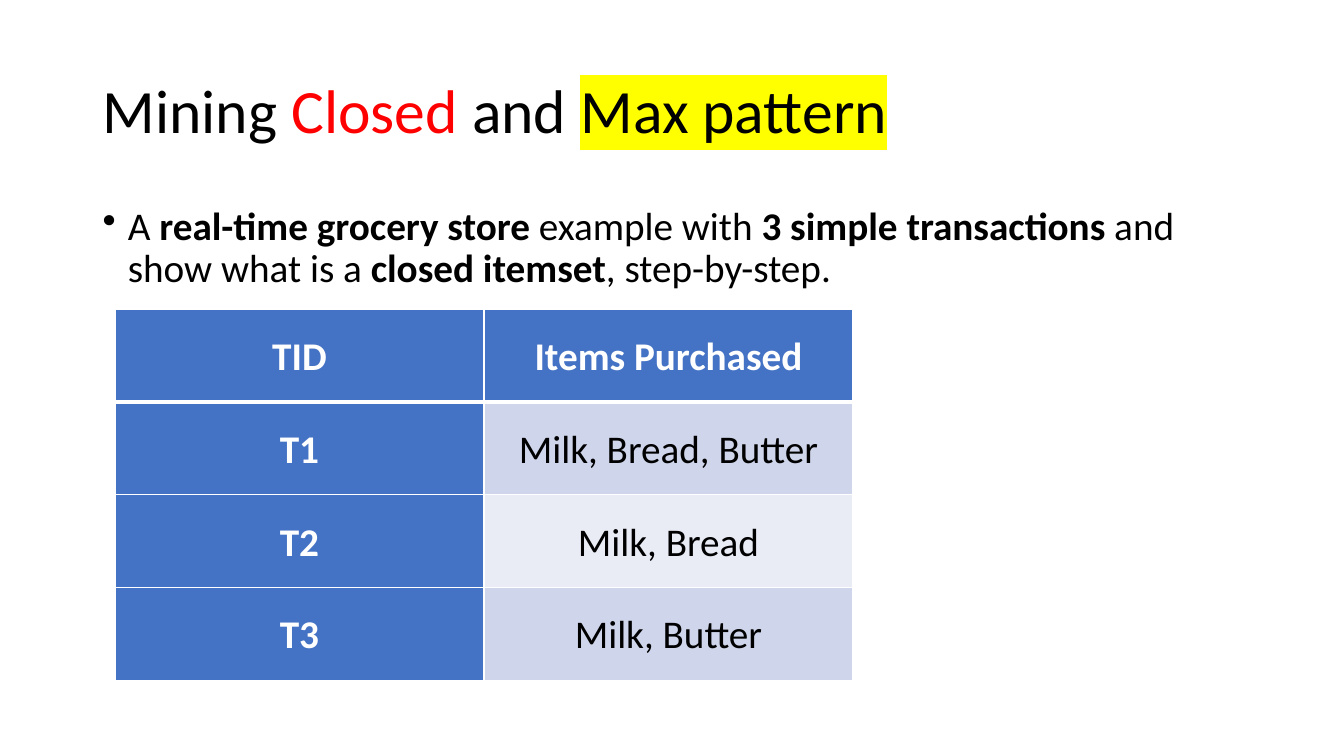
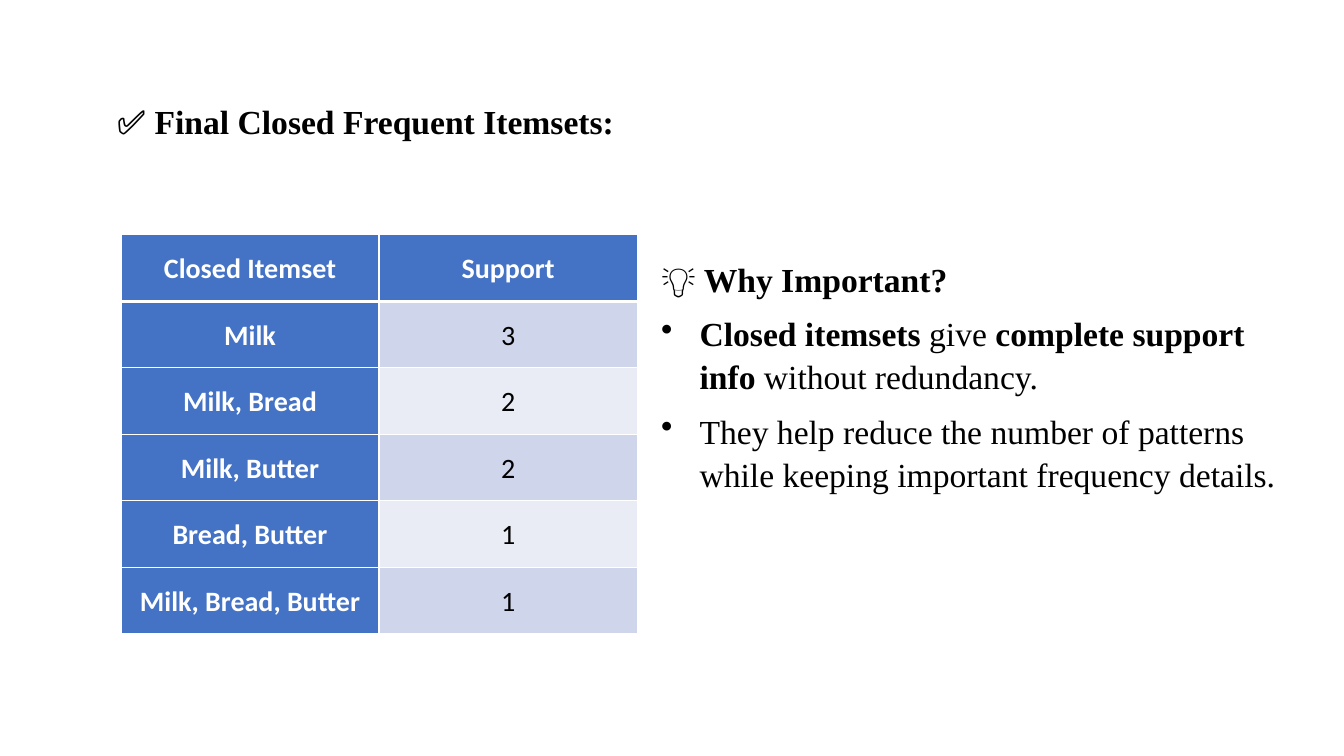
import pptx
import pptx.dml.color
import pptx.enum.text
import pptx.oxml.ns
import pptx.util
from lxml import etree
from pptx.util import Inches, Pt

BLACK, WHITE, RED, YELLOW = "000000", "FFFFFF", "FF0000", "FFFF00"
HEADER, BANDS = "4472C4", ("CFD5EA", "E9EBF5")
SANS, SERIF, ICON = "Calibri", "Times New Roman", "Roboto"
MIDDLE = pptx.enum.text.MSO_ANCHOR.MIDDLE
TOP = pptx.enum.text.MSO_ANCHOR.TOP
CENTER = pptx.enum.text.PP_ALIGN.CENTER


def color(value):
    return pptx.dml.color.RGBColor.from_string(value)


def add_xml(parent, tag, **attrs):
    return etree.SubElement(parent, pptx.oxml.ns.qn(tag), attrs)


def add_color(parent, tag, value):
    add_xml(add_xml(parent, tag), "a:srgbClr", val=value)


def set_font(font, size=None, name=None, bold=None, fill=None):
    if size:
        font.size = Pt(size)
    if name:
        font.name = name
    if bold is not None:
        font.bold = bold
    if fill:
        font.color.rgb = color(fill)


def add_text_box(s, box, anchor=TOP):
    tf = s.shapes.add_textbox(*map(Inches, box)).text_frame
    tf.word_wrap = True
    tf.vertical_anchor = anchor
    return tf


def write(p, runs, size, name=SANS, bold=False, spacing=None, after=None, indent=None, tab=None):
    """Fill a paragraph with (text, font overrides) runs; an indent makes it a bullet."""
    if spacing:
        p.line_spacing = spacing
    if after:
        p.space_after = Pt(after)
    if indent:
        pPr = p._p.get_or_add_pPr()
        pPr.set("marL", str(Inches(indent)))
        pPr.set("indent", str(-Inches(indent)))
        add_xml(pPr, "a:buChar", char="•")
        if tab:
            add_xml(add_xml(pPr, "a:tabLst"), "a:tab", pos=str(Inches(tab)), algn="l")
    set_font(p.font, size, name, bold, BLACK)
    for text, overrides in runs:
        r = p.add_run()
        r.text = text
        set_font(r.font, **overrides)


def highlight(r, value):
    r.font.color.rgb = color(BLACK)
    add_color(r._r.get_or_add_rPr(), "a:highlight", value)


def set_borders(cell, widths):
    tcPr = cell._tc.get_or_add_tcPr()
    for side, width in zip("LRTB", widths):
        add_color(add_xml(tcPr, "a:ln" + side, w=str(Pt(width))), "a:solidFill", WHITE)


def add_item_table(s, box, rows, size):
    """Table with a blue header row and first column, and banded values."""
    table = s.shapes.add_table(len(rows), len(rows[0]), *map(Inches, box)).table
    table.first_col = True
    for i, row in enumerate(rows):
        for j, text in enumerate(row):
            cell = table.cell(i, j)
            heading = i == 0 or j == 0
            set_borders(cell, (1, 1, 3 if i == 1 else 1, 3 if i == 0 else 1))
            cell.fill.solid()
            cell.fill.fore_color.rgb = color(HEADER if heading else BANDS[(i - 1) % 2])
            cell.vertical_anchor = MIDDLE
            cell.margin_left = cell.margin_right = Inches(0.01)
            cell.margin_top = cell.margin_bottom = Inches(0.01)
            cell.text = text
            p = cell.text_frame.paragraphs[0]
            p.alignment = CENTER
            p.line_spacing = 1.07
            p.space_after = Pt(8)
            set_font(p.font, size, SANS, heading, WHITE if heading else BLACK)


def pattern_slide(s):
    # Title
    p = add_text_box(s, (0.92, 0.4, 11.5, 1.45), MIDDLE).paragraphs[0]
    write(p, [("Mining ", {}), ("Closed ", {"fill": RED}), ("and ", {}), ("Max pattern", {})],
          44, spacing=0.9)
    highlight(p.runs[-1], YELLOW)

    # Introduction
    strong = {"bold": True}
    p = add_text_box(s, (0.92, 2, 11.5, 1)).paragraphs[0]
    write(p, [("A ", {}), ("real-time grocery store", strong), (" example with ", {}),
              ("3 simple transactions", strong), (" and show what is a ", {}),
              ("closed itemset", strong), (", step-by-step.", {})],
          28, spacing=0.9, indent=0.25)

    # Transactions
    add_item_table(s, (1.14, 3.07, 7.32, 3.68), [
        ("TID", "Items Purchased"),
        ("T1", "Milk, Bread, Butter"),
        ("T2", "Milk, Bread"),
        ("T3", "Milk, Butter"),
    ], 28)


def result_slide(s):
    # Supports
    add_item_table(s, (1.2, 2.33, 5.12, 3.96), [
        ("Closed Itemset", "Support"),
        ("Milk", "3"),
        ("Milk, Bread", "2"),
        ("Milk, Butter", "2"),
        ("Bread, Butter", "1"),
        ("Milk, Bread, Butter", "1"),
    ], 20)

    # Heading
    p = add_text_box(s, (1.06, 0.95, 6.29, 0.5), MIDDLE).paragraphs[0]
    write(p, [("✅", {"name": SANS}), (" Final Closed Frequent Itemsets:", {})],
          24, SERIF, bold=True)

    # Reasons
    strong = {"bold": True}
    tf = add_text_box(s, (6.46, 2.49, 6.29, 2.46))
    write(tf.paragraphs[0], [("💡", {"name": ICON}), (" Why Important?", {})],
          24, SERIF, bold=True, spacing=1.07, after=8)
    reasons = [
        [("Closed itemsets", strong), (" give ", {}), ("complete support info", strong),
         (" without redundancy.", {})],
        [("They help reduce the number of patterns while keeping important frequency details.",
          {})],
    ]
    for runs in reasons:
        write(tf.add_paragraph(), runs, 24, SERIF, spacing=1.07, after=8, indent=0.38, tab=0.5)


def main():
    prs = pptx.Presentation()
    prs.slide_width, prs.slide_height = Inches(13.33), Inches(7.5)
    for build in (pattern_slide, result_slide):
        build(prs.slides.add_slide(prs.slide_layouts[6]))
    prs.save("out.pptx")


if __name__ == "__main__":
    main()
